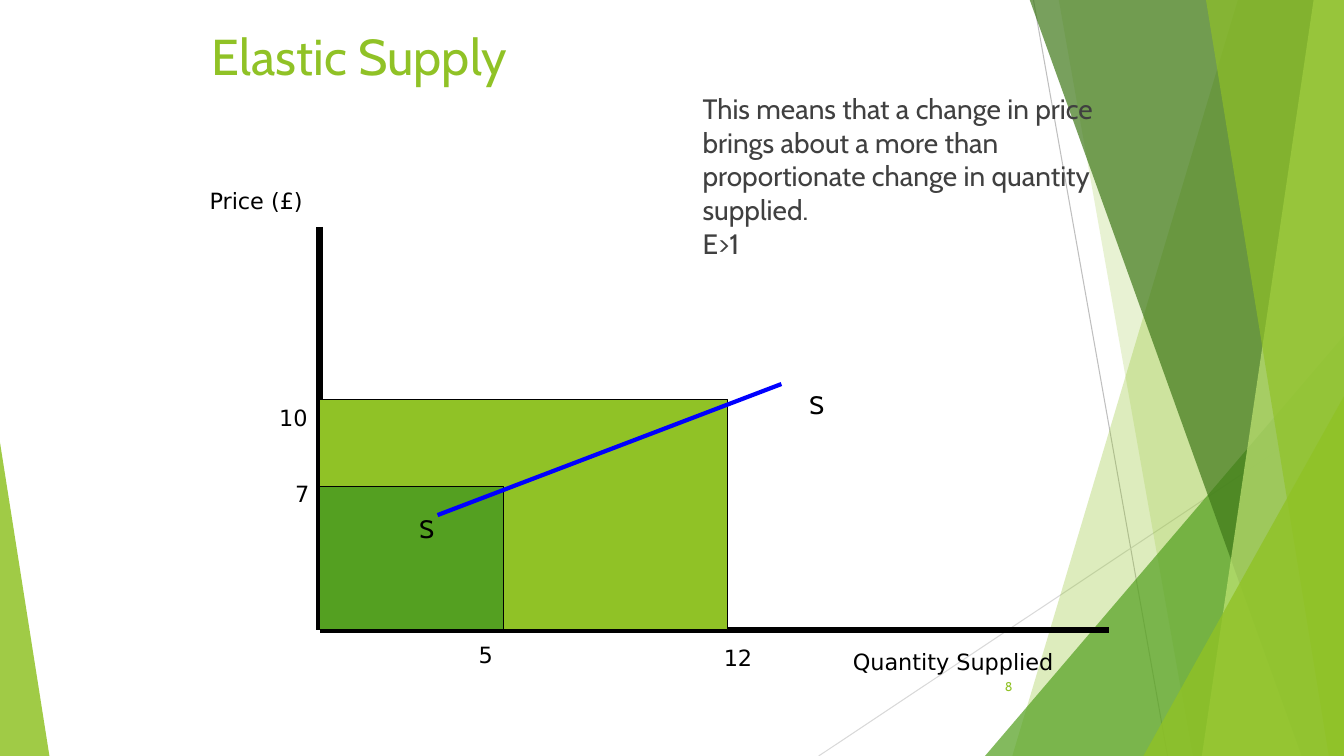
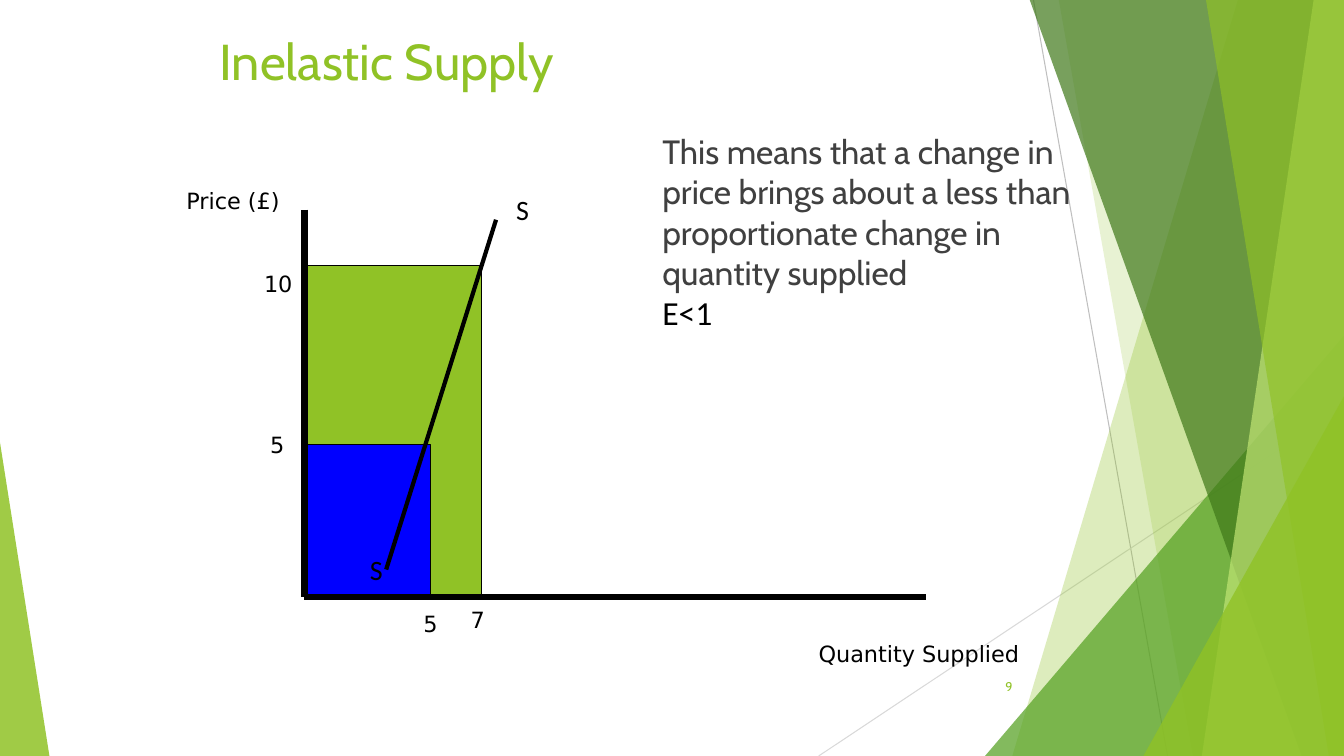
from dataclasses import dataclass

from lxml.etree import SubElement
from pptx import Presentation
from pptx.dml.color import RGBColor
from pptx.enum.shapes import MSO_CONNECTOR, MSO_SHAPE
from pptx.enum.text import MSO_ANCHOR, MSO_AUTO_SIZE, PP_ALIGN
from pptx.oxml.ns import qn
from pptx.util import Inches, Pt

# Shared look
LIME = RGBColor(0x90, 0xC2, 0x26)
GREEN = RGBColor(0x54, 0xA0, 0x21)
DARK_GREEN = RGBColor(0x3F, 0x78, 0x19)
PALE_LIME = RGBColor(0xC0, 0xE4, 0x74)
BLUE = RGBColor(0x00, 0x00, 0xFF)
BLACK = RGBColor(0x00, 0x00, 0x00)
BODY_GREY = RGBColor(0x40, 0x40, 0x40)
MID_GREY = RGBColor(0xBF, 0xBF, 0xBF)
LIGHT_GREY = RGBColor(0xD9, 0xD9, 0xD9)
THEME_FONT, LABEL_FONT, PLAIN_FONT = "Cabin", "DejaVu Sans", "Calibri"
WIDTH, HEIGHT, BLEED = 13.33, 7.5, -0.01

Point = tuple[float, float]


@dataclass(frozen=True)
class Style:
    size: float
    font: str
    color: RGBColor


TITLE = Style(36, THEME_FONT, LIME)
NUMBER = Style(9, THEME_FONT, LIME)
LABEL = Style(16, LABEL_FONT, BLACK)


@dataclass(frozen=True)
class Band:
    """Translucent band that runs from a top edge to the right side."""
    top_x: float
    bottom_x: float
    color: RGBColor
    opacity: int


@dataclass(frozen=True)
class Wedge:
    """Translucent right triangle standing on the bottom edge."""
    left: float
    top: float
    width: float
    apex: float
    color: RGBColor
    opacity: int


@dataclass(frozen=True)
class Label:
    text: str
    left: float
    top: float
    width: float
    style: Style = LABEL
    height: float = 0.37


@dataclass(frozen=True)
class Area:
    """Rectangle between the origin of the chart and a point on the curve."""
    width: float
    height: float
    color: RGBColor


@dataclass(frozen=True)
class Note:
    left: float
    top: float
    width: float
    height: float
    lines: list[tuple[str, Style]]


@dataclass(frozen=True)
class SupplySlide:
    title: str
    title_at: Point
    number: str
    origin: Point
    price_top: float
    quantity_end: float
    areas: list[Area]
    areas_above_axes: bool
    curve: tuple[Point, Point]
    curve_color: RGBColor
    labels: list[Label]
    note: Note


DECORATION = [
    Band(12.28, 10.04, LIME, 30),
    Band(10.5, 11.83, LIME, 20),
    Wedge(9.77, 3.33, 3.56, 1, GREEN, 72),
    Band(10.21, 12.91, DARK_GREEN, 70),
    Band(13.03, 11.92, PALE_LIME, 70),
    Band(11.96, 13.18, LIME, 65),
    Wedge(11.34, 3.93, 1.99, 1, LIME, 80),
    Wedge(0, 4.39, 0.49, 0, LIME, 85),
]


def add_line(page, start: Point, end: Point, color: RGBColor, weight: float) -> None:
    line = page.shapes.add_connector(
        MSO_CONNECTOR.STRAIGHT, *(Inches(value) for value in (*start, *end)))
    line.line.color.rgb = color
    line.line.width = Pt(weight)
    SubElement(line._element.spPr, qn("a:effectLst"))


def fill_translucent(shape, color: RGBColor, opacity: int) -> None:
    shape.shadow.inherit = False
    shape.line.fill.background()
    shape.fill.solid()
    shape.fill.fore_color.rgb = color
    tint = shape._element.spPr.find(qn("a:solidFill"))[0]
    SubElement(tint, qn("a:alpha")).set("val", str(opacity * 1000))


def add_band(page, band: Band) -> None:
    corners = [(Inches(x), Inches(y)) for x, y in (
        (band.top_x, BLEED), (WIDTH, BLEED), (WIDTH, HEIGHT), (band.bottom_x, HEIGHT))]
    outline = page.shapes.build_freeform(*corners[0], scale=1.0)
    outline.add_line_segments(corners[1:], close=True)
    fill_translucent(outline.convert_to_shape(), band.color, band.opacity)


def add_wedge(page, wedge: Wedge) -> None:
    shape = page.shapes.add_shape(
        MSO_SHAPE.ISOSCELES_TRIANGLE, Inches(wedge.left), Inches(wedge.top),
        Inches(wedge.width), Inches(HEIGHT - wedge.top))
    shape.adjustments[0] = wedge.apex
    fill_translucent(shape, wedge.color, wedge.opacity)


def add_decoration(page) -> None:
    add_line(page, (10.25, 0), (11.58, HEIGHT), MID_GREY, 0.75)
    add_line(page, (WIDTH, 4.03), (8.12, HEIGHT), LIGHT_GREY, 0.75)
    for part in DECORATION:
        if isinstance(part, Band):
            add_band(page, part)
        else:
            add_wedge(page, part)


def add_text(page, left: float, top: float, width: float, height: float,
             lines: list[tuple[str, Style]], wrap: bool = True):
    box = page.shapes.add_textbox(
        Inches(left), Inches(top), Inches(width), Inches(height))
    frame = box.text_frame
    frame.word_wrap = wrap
    if not wrap:
        frame.auto_size = MSO_AUTO_SIZE.SHAPE_TO_FIT_TEXT
    for index, (text, style) in enumerate(lines):
        para = frame.add_paragraph() if index else frame.paragraphs[0]
        para.text = text
        para.font.size = Pt(style.size)
        para.font.name = style.font
        para.font.color.rgb = style.color
    return box


def add_areas(page, slide: SupplySlide) -> None:
    left, bottom = slide.origin
    for area in slide.areas:
        shape = page.shapes.add_shape(
            MSO_SHAPE.RECTANGLE, Inches(left), Inches(bottom - area.height),
            Inches(area.width), Inches(area.height))
        shape.shadow.inherit = False
        shape.fill.solid()
        shape.fill.fore_color.rgb = area.color
        shape.line.color.rgb = BLACK
        shape.line.width = Pt(0.75)


def add_axes(page, slide: SupplySlide) -> None:
    left, bottom = slide.origin
    add_line(page, (left, slide.price_top), slide.origin, BLACK, 4.5)
    add_line(page, slide.origin, (slide.quantity_end, bottom), BLACK, 4.5)


def add_supply_slide(deck, slide: SupplySlide) -> None:
    page = deck.slides.add_slide(deck.slide_layouts[6])
    add_decoration(page)

    # Title and slide number
    add_text(page, *slide.title_at, 9, 1, [(slide.title, TITLE)])
    number = add_text(page, 9.39, 6.61, 0.75, 0.4, [(slide.number, NUMBER)])
    number.text_frame.vertical_anchor = MSO_ANCHOR.MIDDLE
    number.text_frame.paragraphs[0].alignment = PP_ALIGN.RIGHT

    # Supply diagram
    layers = [add_axes, add_areas] if slide.areas_above_axes else [add_areas, add_axes]
    for add_layer in layers:
        add_layer(page, slide)
    add_line(page, *slide.curve, slide.curve_color, 3)
    for label in slide.labels:
        add_text(page, label.left, label.top, label.width, label.height,
                 [(label.text, label.style)], wrap=False)

    # Explanation
    note = slide.note
    add_text(page, note.left, note.top, note.width, note.height, note.lines)


ELASTIC_NOTE = Style(20, THEME_FONT, BODY_GREY)
ELASTIC_CURVE = Style(18, THEME_FONT, BLACK)
INELASTIC_NOTE = Style(24, THEME_FONT, BODY_GREY)
INELASTIC_RESULT = Style(24, PLAIN_FONT, BLACK)
INELASTIC_CURVE = Style(20, PLAIN_FONT, BLACK)

SLIDES = [
    SupplySlide(
        title="Elastic Supply", title_at=(2, 0.2), number="8",
        origin=(3.17, 6.25), price_top=2.25, quantity_end=11,
        areas=[Area(4.05, 2.29, LIME), Area(1.82, 1.42, GREEN)],
        areas_above_axes=True,
        curve=((7.75, 3.81), (4.34, 5.11)), curve_color=BLUE,
        labels=[
            Label("Price (£)", 1.98, 1.81, 1.16),
            Label("Quantity Supplied", 8.36, 6.38, 2.22),
            Label("10", 2.67, 3.96, 0.48),
            Label("7", 2.83, 4.71, 0.34),
            Label("5", 4.65, 6.31, 0.34),
            Label("12", 7.08, 6.34, 0.49),
            Label("S", 7.93, 3.81, 0.32, ELASTIC_CURVE, 0.4),
            Label("S", 4.06, 5.04, 0.32, ELASTIC_CURVE, 0.4),
        ],
        note=Note(6.87, 0.86, 4.26, 1.78, [
            ("This means that a change in price brings about a more than "
             "proportionate change in quantity supplied.", ELASTIC_NOTE),
            ("E>1", ELASTIC_NOTE),
        ]),
    ),
    SupplySlide(
        title="Inelastic Supply", title_at=(2.08, 0.25), number="9",
        origin=(3.02, 5.92), price_top=2.08, quantity_end=9.18,
        areas=[Area(1.76, 3.29, LIME), Area(1.25, 1.51, BLUE)],
        areas_above_axes=False,
        curve=((4.92, 2.18), (3.83, 5.65)), curve_color=BLACK,
        labels=[
            Label("Price (£)", 1.75, 1.81, 1.16),
            Label("Quantity Supplied", 8.02, 6.3, 2.22),
            Label("10", 2.52, 2.63, 0.48),
            Label("5", 2.58, 4.23, 0.34),
            Label("5", 4.1, 6, 0.34),
            Label("7", 4.57, 5.96, 0.34),
            Label("S", 5.02, 1.86, 0.33, INELASTIC_CURVE, 0.44),
            Label("S", 3.57, 5.43, 0.33, INELASTIC_CURVE, 0.44),
        ],
        note=Note(6.47, 1.25, 4.65, 2.12, [
            ("This means that a change in price brings about a less than "
             "proportionate change in quantity supplied", INELASTIC_NOTE),
            ("E<1", INELASTIC_RESULT),
        ]),
    ),
]


def main() -> None:
    deck = Presentation()
    deck.slide_width, deck.slide_height = Inches(WIDTH), Inches(HEIGHT)
    for slide in SLIDES:
        add_supply_slide(deck, slide)
    deck.save("out.pptx")


if __name__ == "__main__":
    main()
